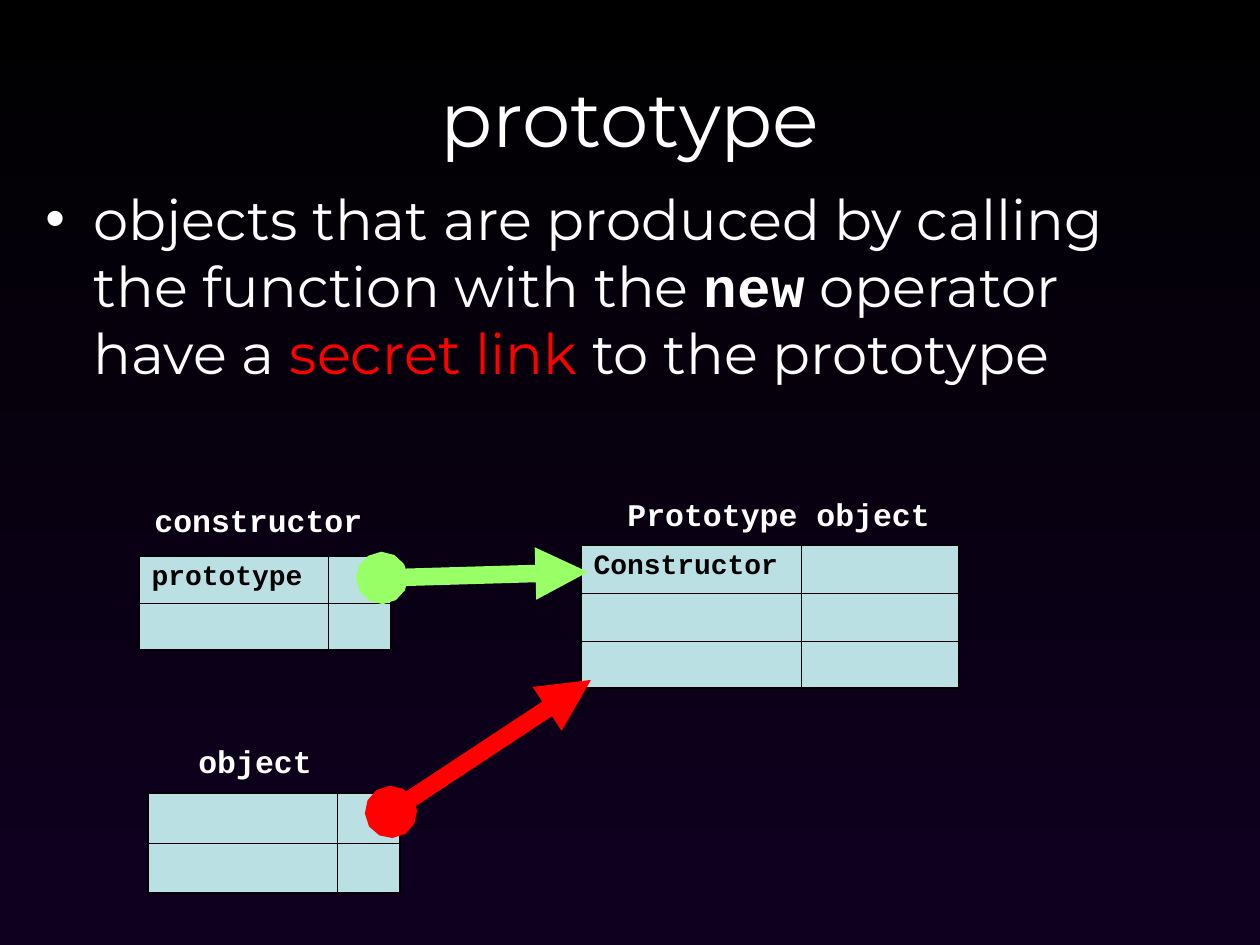
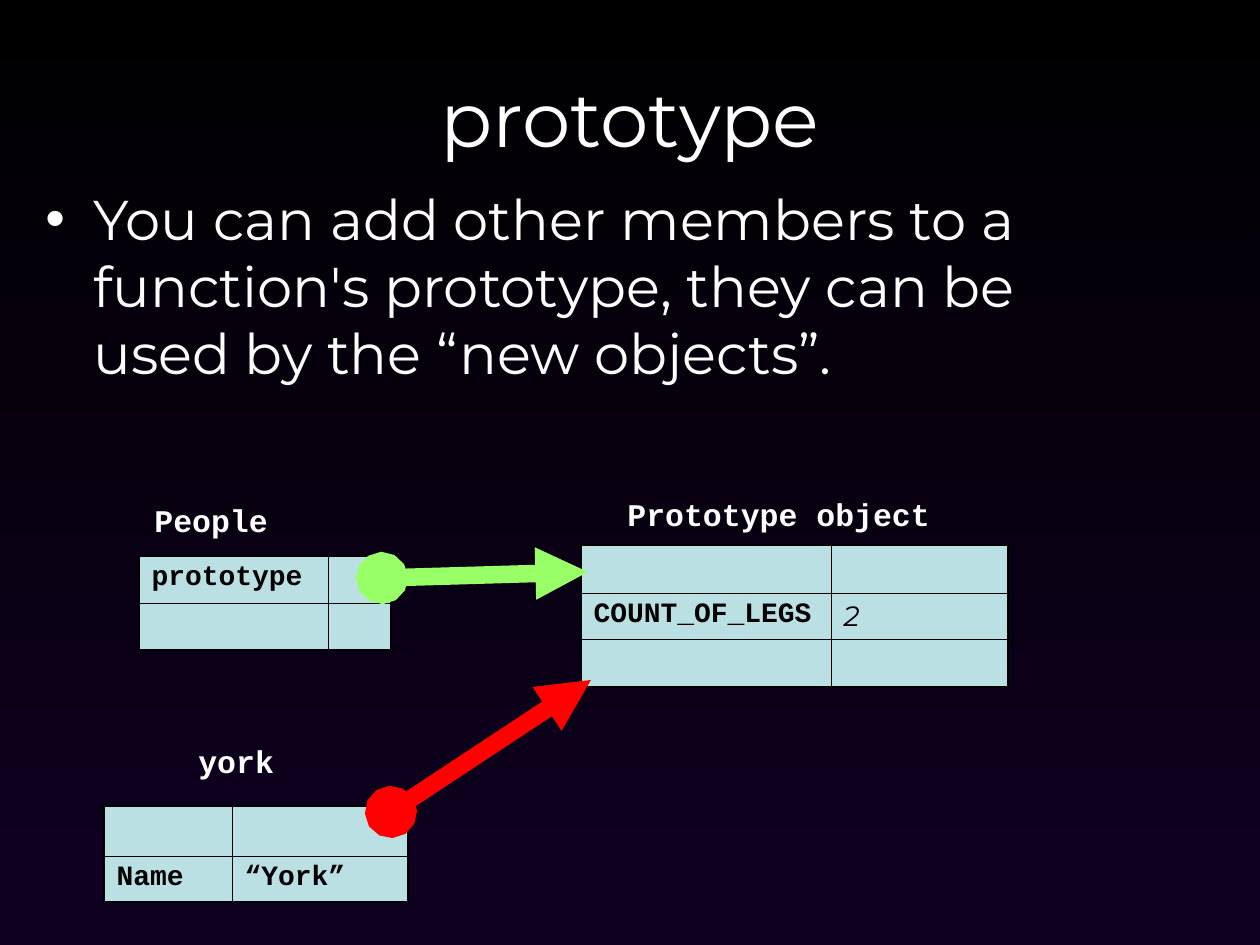
"""Build two slides on how objects link to a constructor's prototype."""
from lxml.etree import SubElement
from pptx import Presentation
from pptx.dml.color import RGBColor
from pptx.enum.shapes import MSO_CONNECTOR
from pptx.enum.text import MSO_ANCHOR, PP_ALIGN
from pptx.oxml.ns import qn
from pptx.util import Inches, Pt

PX = 7257
COLORS = {
    "top": "000000", "bottom": "0F0020", "text": "FFFFFF", "secret": "FF0000",
    "cell": "BBE0E3", "ink": "000000", "green": "99FF66", "red": "FF0101",
}
SANS, MONO = "Montserrat", "Courier New"

BODY = (SANS, 32, "text", "")
LABEL = (MONO, 18, "text", "b")
CELL = (MONO, 16, "ink", "b")
VALUE = (SANS, 16, "ink", "i")

ARROWS = [("green", 382, 578, 588, 572), ("red", 391, 812, 591, 680)]
LABEL_BOXES = [(142, 495, 247, 50), (615, 489, 347, 50), (186, 736, 139, 50)]
CONSTRUCTOR = ((139, 556), (189, 63), (47, 47), {(0, 0): ("prototype", CELL)})

SLIDES = [
    {
        "body": [
            ("objects that are produced by calling the function with the ", BODY),
            ("new", (MONO, 32, "text", "b")),
            (" operator have a ", BODY),
            ("secret link ", (SANS, 32, "secret", "")),
            ("to the prototype", BODY),
        ],
        "labels": ["constructor", "Prototype object", "object"],
        "tables": [
            ((581, 545), (220, 158), (48, 48, 47), {(0, 0): ("Constructor", CELL)}),
            CONSTRUCTOR,
            ((148, 793), (189, 63), (50, 50), {}),
        ],
    },
    {
        "body": [
            ("You can add other members to a function's prototype, "
             "they can be used by the “new objects”.", BODY),
        ],
        "labels": ["People", "Prototype object", "york"],
        "tables": [
            ((581, 545), (250, 177), (48, 46, 48),
             {(1, 0): ("COUNT_OF_LEGS", CELL), (1, 1): ("2", VALUE)}),
            CONSTRUCTOR,
            ((104, 806), (128, 176), (50, 46),
             {(1, 0): ("Name", CELL), (1, 1): ("“York”", CELL)}),
        ],
    },
]


def add_runs(p, runs):
    for text, (font, size, color, style) in runs:
        r = p.add_run()
        r.text = text
        r.font.name = font
        r.font.size = Pt(size)
        r.font.bold = style == "b"
        r.font.italic = style == "i"
        r.font.color.rgb = RGBColor.from_string(COLORS[color])


def add_text(s, box, runs):
    tf = s.shapes.add_textbox(*(v * PX for v in box)).text_frame
    tf.word_wrap = True
    add_runs(tf.paragraphs[0], runs)
    return tf


prs = Presentation()
prs.slide_width, prs.slide_height = Inches(10), Inches(7.5)

for content in SLIDES:
    s = prs.slides.add_slide(prs.slide_layouts[6])
    fill = s.background.fill
    fill.gradient()
    fill.gradient_angle = 270
    for stop, position, name in zip(fill.gradient_stops, (0, 1), ("top", "bottom")):
        stop.position = position
        stop.color.rgb = RGBColor.from_string(COLORS[name])

    tf = add_text(s, (63, 38, 1134, 157), [("prototype", (SANS, 44, "text", ""))])
    tf.vertical_anchor = MSO_ANCHOR.MIDDLE
    tf.paragraphs[0].alignment = PP_ALIGN.CENTER

    tf = add_text(s, (33, 178, 1139, 289), content["body"])
    pPr = tf.paragraphs[0]._p.get_or_add_pPr()
    pPr.set("marL", str(48 * PX))
    pPr.set("indent", str(-48 * PX))
    SubElement(SubElement(pPr, qn("a:buClr")), qn("a:srgbClr"), val=COLORS["text"])
    SubElement(pPr, qn("a:buFont"), typeface="Arial")
    SubElement(pPr, qn("a:buChar"), char="•")

    for box, label in zip(LABEL_BOXES, content["labels"]):
        add_text(s, box, [(label, LABEL)])

    for (left, top), widths, heights, texts in content["tables"]:
        rows, cols = len(heights), len(widths)
        table = s.shapes.add_table(rows, cols, left * PX, top * PX,
                                   sum(widths) * PX, sum(heights) * PX).table
        table.first_row = table.horz_banding = False
        for column, width in zip(table.columns, widths):
            column.width = width * PX
        for i, height in enumerate(heights):
            table.rows[i].height = height * PX
            for j in range(cols):
                cell = table.cell(i, j)
                tcPr = cell._tc.get_or_add_tcPr()
                edges = {"L": j == 0, "R": j == cols - 1, "T": i == 0, "B": i == rows - 1}
                for side, outer in edges.items():
                    ln = SubElement(tcPr, qn(f"a:ln{side}"), w=str(Pt(1.08 if outer else 0.45)))
                    SubElement(SubElement(ln, qn("a:solidFill")), qn("a:srgbClr"), val=COLORS["ink"])
                cell.fill.solid()
                cell.fill.fore_color.rgb = RGBColor.from_string(COLORS["cell"])
                p = cell.text_frame.paragraphs[0]
                if (i, j) in texts:
                    add_runs(p, [texts[i, j]])
                else:
                    SubElement(p._p, qn("a:endParaRPr"), sz="1600")

    for color, *ends in ARROWS:
        arrow = s.shapes.add_connector(MSO_CONNECTOR.STRAIGHT, *(v * PX for v in ends))
        arrow.line.width = Pt(10)
        arrow.line.color.rgb = RGBColor.from_string(COLORS[color])
        ln = arrow.line._get_or_add_ln()
        SubElement(ln, qn("a:headEnd"), type="oval")
        SubElement(ln, qn("a:tailEnd"), type="triangle")
        SubElement(arrow._element.spPr, qn("a:effectLst"))

prs.save("out.pptx")
